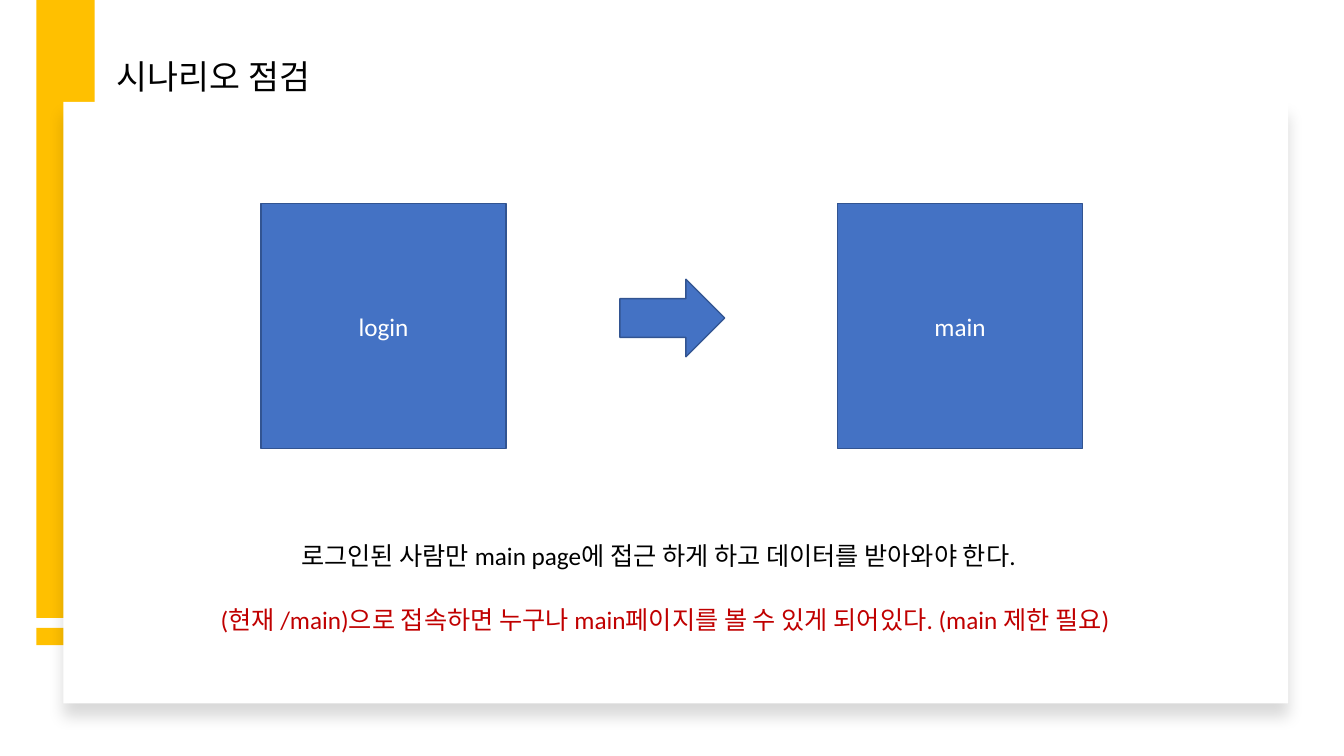
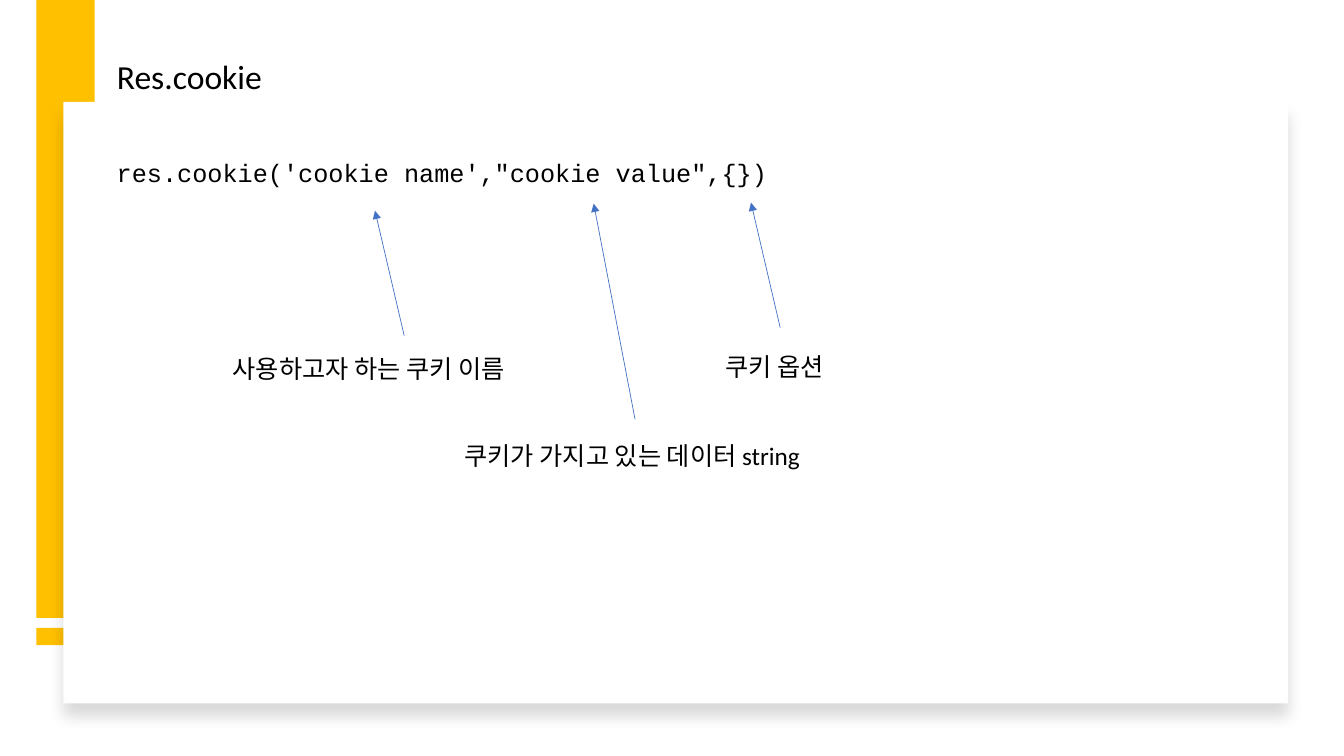
import dataclasses

import lxml.etree
import pptx
import pptx.dml.color
import pptx.enum.shapes
import pptx.enum.text
import pptx.oxml.ns
import pptx.util

SHAPE = pptx.enum.shapes.MSO_SHAPE
ALIGN = pptx.enum.text.PP_ALIGN
ANCHOR = pptx.enum.text.MSO_ANCHOR
TITLE_ONLY = 5


@dataclasses.dataclass(frozen=True)
class Theme:
    accent: str = "FFC000"
    paper: str = "FFFFFF"
    ink: str = "000000"
    warning: str = "C00000"
    block: str = "4472C4"
    block_edge: str = "325491"
    body_font: str = "Calibri"
    code_font: str = "Courier New"
    title_size: int = 24
    body_size: int = 18
    edge_width: float = 1
    arrow_width: float = 0.5


THEME = Theme()
COLUMNS, ROWS = 133.33, 75
TEXT_LEFT = 10.6
LINE_HEIGHT = 4


def grid(cells):
    """Turn grid cells, a tenth of an inch each, into a length."""
    return pptx.util.Inches(cells / 10)


def rgb(color):
    return pptx.dml.color.RGBColor.from_string(color)


def add_effects(shape):
    """Give a shape or connector its own effect list, which replaces the theme's."""
    return lxml.etree.SubElement(shape._element.spPr, pptx.oxml.ns.qn("a:effectLst"))


def write(shape, text, font=THEME.body_font, size=THEME.body_size, color=THEME.ink,
          align=ALIGN.LEFT, anchor=ANCHOR.TOP):
    frame = shape.text_frame
    frame.word_wrap = True
    frame.auto_size = pptx.enum.text.MSO_AUTO_SIZE.NONE
    frame.vertical_anchor = anchor
    para = frame.paragraphs[0]
    para.alignment = align
    span = para.add_run()
    span.text = text
    span.font.name = font
    span.font.size = pptx.util.Pt(size)
    span.font.color.rgb = rgb(color)


class SlideBuilder:
    def __init__(self, deck, theme):
        self.deck = deck
        self.theme = theme
        self.page = None

    def start(self, title):
        """Open a slide with the shared bands, card and title."""
        self.page = self.deck.slides.add_slide(self.deck.slide_layouts[TITLE_ONLY])
        for top, height in ((0, 61.3), (62.3, 1.7)):
            self.box(3.6, top, 5.8, height, self.theme.accent)
        self.card(6.3, 10.1, 121.5, 59.7)
        heading = self.page.shapes.title
        heading.left, heading.top = grid(TEXT_LEFT), grid(5)
        heading.width, heading.height = grid(63.2), grid(5)
        write(heading, title, size=self.theme.title_size)

    def box(self, left, top, width, height, fill, edge=None, kind=SHAPE.RECTANGLE):
        shape = self.page.shapes.add_shape(
            kind, grid(left), grid(top), grid(width), grid(height))
        shape.shadow.inherit = False
        shape.fill.solid()
        shape.fill.fore_color.rgb = rgb(fill)
        if edge:
            shape.line.color.rgb = rgb(edge)
            shape.line.width = pptx.util.Pt(self.theme.edge_width)
        else:
            shape.line.fill.background()
        return shape

    def card(self, left, top, width, height):
        """Draw the paper card with a soft shadow below it."""
        shape = self.box(left, top, width, height, self.theme.paper)
        qn = pptx.oxml.ns.qn
        effects = shape._element.spPr.find(qn("a:effectLst"))
        shadow = lxml.etree.SubElement(
            effects, qn("a:outerShdw"), blurRad=str(pptx.util.Pt(11)),
            dist=str(pptx.util.Pt(10)), dir="5400000", algn="t", rotWithShape="0")
        color = lxml.etree.SubElement(shadow, qn("a:srgbClr"), val=self.theme.ink)
        lxml.etree.SubElement(color, qn("a:alpha"), val="15000")

    def block(self, left, top, width, height, text=None, kind=SHAPE.RECTANGLE):
        shape = self.box(left, top, width, height, self.theme.block,
                         self.theme.block_edge, kind)
        if text:
            write(shape, text, color=self.theme.paper, align=ALIGN.CENTER,
                  anchor=ANCHOR.MIDDLE)

    def text(self, left, top, width, text, **style):
        shape = self.page.shapes.add_textbox(
            grid(left), grid(top), grid(width), grid(LINE_HEIGHT))
        write(shape, text, **style)

    def arrow(self, start, end):
        line = self.page.shapes.add_connector(
            pptx.enum.shapes.MSO_CONNECTOR.STRAIGHT, *map(grid, start + end))
        line.line.color.rgb = rgb(self.theme.block)
        line.line.width = pptx.util.Pt(self.theme.arrow_width)
        lxml.etree.SubElement(line.line._get_or_add_ln(),
                              pptx.oxml.ns.qn("a:tailEnd"), type="triangle")
        add_effects(line)


def add_scenario(builder):
    builder.start("시나리오 점검")
    for left, name in ((25.9, "login"), (83.1, "main")):
        builder.block(left, 20.2, 24.3, 24.3, name)
    builder.block(61.5, 27.7, 10.4, 7.7, kind=SHAPE.RIGHT_ARROW)
    builder.text(28.9, 53.1, 82.6,
                 "로그인된 사람만 main page에 접근 하게 하고 데이터를 받아와야 한다.")
    builder.text(20.9, 59.5, 98.7,
                 "(현재 /main)으로 접속하면 누구나 main페이지를 볼 수 있게 되어있다. (main 제한 필요)",
                 color=builder.theme.warning)


def add_cookie_call(builder):
    builder.start("Res.cookie")
    builder.text(TEXT_LEFT, 15.1, 72.6, "res.cookie('cookie name',\"cookie value\",{})",
                 font=builder.theme.code_font)
    arguments = (
        ("사용하고자 하는 쿠키 이름", 22.1, 34.6, 33.2, (40.1, 33.3), (37.2, 20.9)),
        ("쿠키가 가지고 있는 데이터 string", 45.1, 43.2, 42.5, (63, 41.6), (58.9, 20.2)),
        ("쿠키 옵션", 71, 34.4, 42.5, (77.4, 32.5), (74.5, 20.1)),
    )
    for label, left, top, width, start, end in arguments:
        builder.arrow(start, end)
        builder.text(left, top, width, label)


def main():
    deck = pptx.Presentation()
    deck.slide_width, deck.slide_height = grid(COLUMNS), grid(ROWS)
    builder = SlideBuilder(deck, THEME)
    add_scenario(builder)
    add_cookie_call(builder)
    deck.save("out.pptx")


if __name__ == "__main__":
    main()
